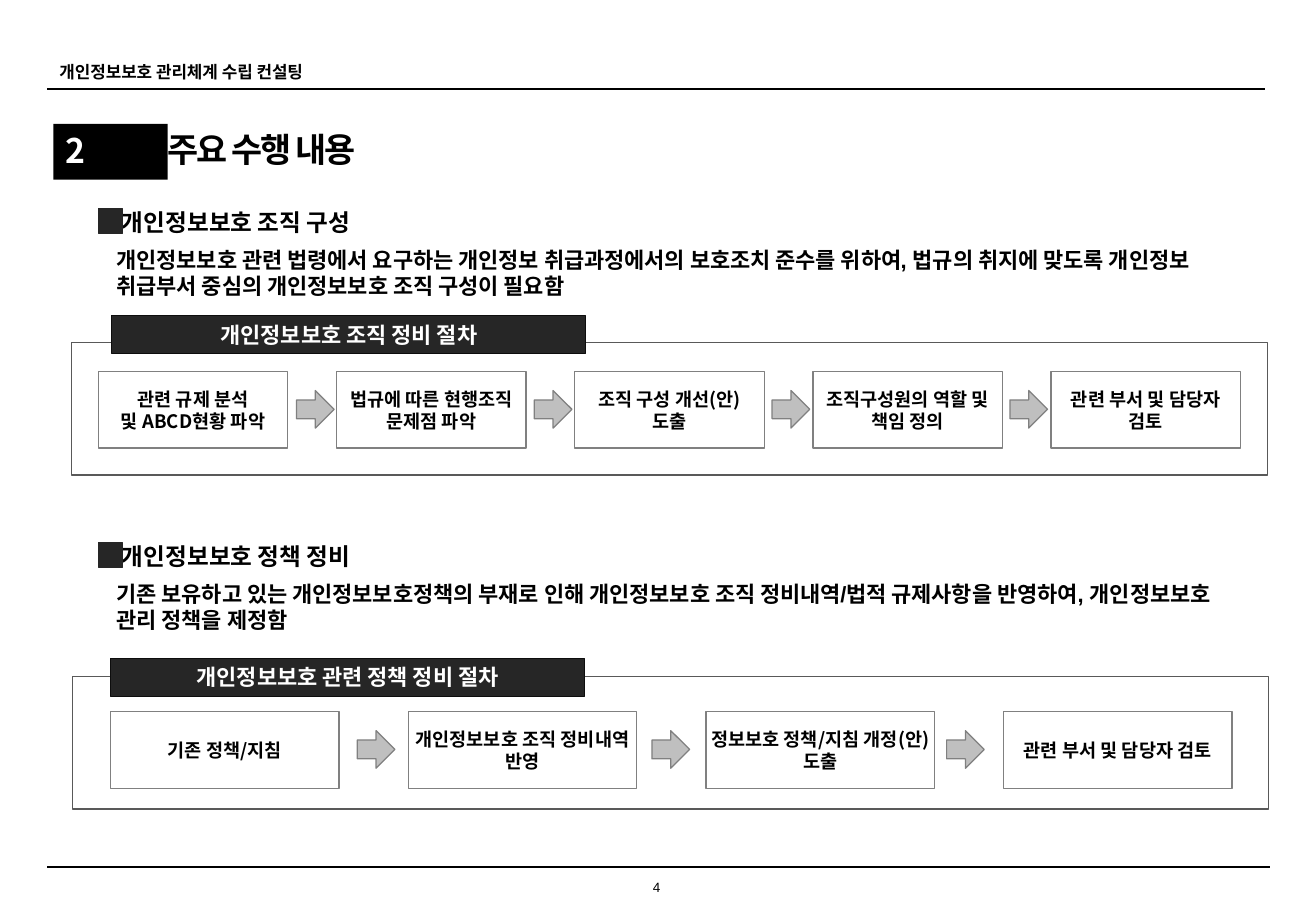
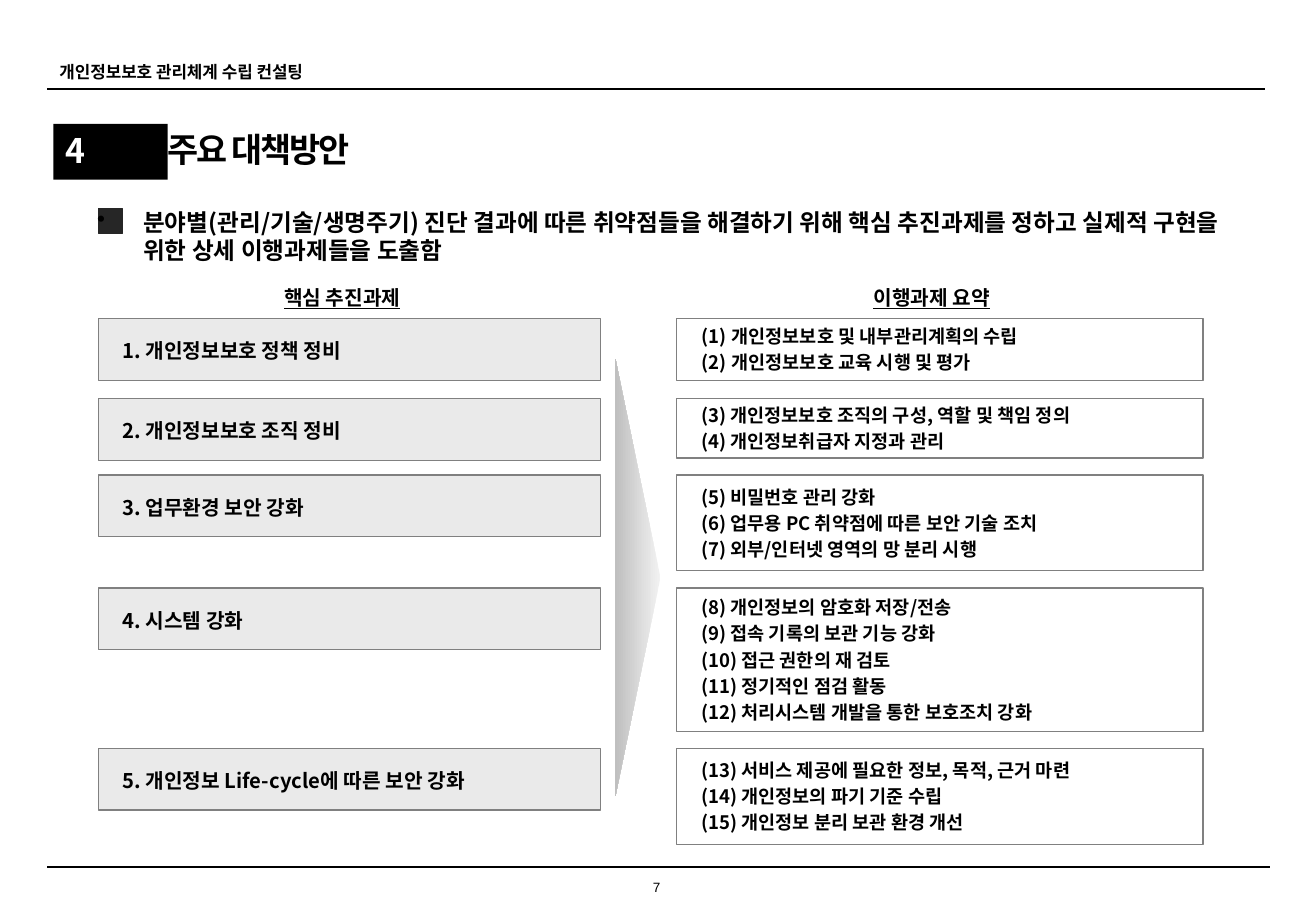
import pptx
import pptx.util
import pptx.dml.color
import pptx.enum.shapes
import pptx.enum.text
import pptx.oxml.ns
from lxml import etree

SHAPE = pptx.enum.shapes.MSO_SHAPE
ALIGN = pptx.enum.text.PP_ALIGN
ANCHOR = pptx.enum.text.MSO_ANCHOR

KOREAN = "Noto Sans CJK KR"
BLACK, WHITE, DARK = "000000", "FFFFFF", "262626"
GRAY, FRAME, PALE, ARROW = "808080", "595959", "EAEAEA", "BFBFBF"
COLUMNS, ROWS = 108.3, 75  # square grid modules of a tenth of an inch


def grid(modules):
    return pptx.util.Inches(modules / 10)


def color(code):
    return pptx.dml.color.RGBColor.from_string(code)


def add_xml(parent, tag, **attributes):
    return etree.SubElement(parent, pptx.oxml.ns.qn(tag), attributes)


class Report:
    """Holds the shared style and the current page."""

    def __init__(self):
        self.deck = pptx.Presentation()
        self.deck.slide_width, self.deck.slide_height = grid(COLUMNS), grid(ROWS)
        self.page = None

    def start_page(self, chapter, title, number):
        self.page = self.deck.slides.add_slide(self.deck.slide_layouts[6])
        # Header and footer
        self.rule(3.9, 104.1, 7.3, 1.25)
        self.text((3.9, 4.6, 24.8, 2.7), "개인정보보호 관리체계 수립 컨설팅", size=10)
        self.text((52.4, 72.3, 3.3, 1.4), number, size=8, bold=False, font="Arial",
                  align=ALIGN.CENTER, anchor=ANCHOR.MIDDLE, insets=(0, 0, 0, 0))
        self.rule(3.9, 104.5, 71.4, 1)
        # Chapter number and title
        self.shape((4.4, 10.2, 9.4, 4.6), chapter, fill=BLACK, size=20, ink=WHITE,
                   align=ALIGN.LEFT, anchor=ANCHOR.TOP)
        box = self.text((13.8, 10.4, 54.8, 3.7), title, size=20, wrap=False,
                        anchor=ANCHOR.MIDDLE, insets=(0, 0.5, 1, 0.5))
        box.text_frame.paragraphs[0].font._element.set("spc", "-120")

    def rule(self, left, right, top, weight):
        line = self.page.shapes.add_connector(
            pptx.enum.shapes.MSO_CONNECTOR.STRAIGHT,
            grid(left), grid(top), grid(right), grid(top))
        line.line.color.rgb = color(BLACK)
        line.line.width = pptx.util.Pt(weight)
        add_xml(line._element.spPr, "a:effectLst")

    def set_text(self, box, content, size=11, ink=BLACK, bold=True, font=KOREAN,
                 align=ALIGN.LEFT, anchor=ANCHOR.TOP, insets=(1, 0.5, 1, 0.5),
                 wrap=True, before=0, spacing=None, underline=False):
        frame = box.text_frame
        frame.word_wrap = wrap
        frame.vertical_anchor = anchor
        (frame.margin_left, frame.margin_top,
         frame.margin_right, frame.margin_bottom) = map(grid, insets)
        for index, words in enumerate(content.split("\n")):
            para = frame.add_paragraph() if index else frame.paragraphs[0]
            para.add_run().text = words
            para.alignment = align
            para.space_before = pptx.util.Pt(before)
            if spacing:
                para.line_spacing = spacing
            para.font.size = pptx.util.Pt(size)
            para.font.bold = bold
            para.font.underline = underline
            para.font.color.rgb = color(ink)
            para.font.name = font
            add_xml(para.font._element, "a:ea", typeface=KOREAN)

    def text(self, area, content, **style):
        box = self.page.shapes.add_textbox(*map(grid, area))
        self.set_text(box, content, **style)
        return box

    def shape(self, area, content="", kind=SHAPE.RECTANGLE, fill=None, line=None,
              weight=0.75, align=ALIGN.CENTER, anchor=ANCHOR.MIDDLE, **style):
        box = self.page.shapes.add_shape(kind, *map(grid, area))
        box.shadow.inherit = False
        if fill:
            box.fill.solid()
            box.fill.fore_color.rgb = color(fill)
        else:
            box.fill.background()
        if line:
            box.line.color.rgb = color(line)
            box.line.width = pptx.util.Pt(weight)
        else:
            box.line.fill.background()
        if content:
            self.set_text(box, content, align=align, anchor=anchor, **style)
        return box

    def bullets(self, box, hang, tag, **attributes):
        for para in box.text_frame.paragraphs:
            properties = para._p.get_or_add_pPr()
            properties.set("marL", str(grid(hang)))
            properties.set("indent", str(-grid(hang)))
            bullet = add_xml(properties, tag, **attributes)
            para.font._element.addprevious(bullet)

    def marker(self, top):
        self.shape((8.1, top, 2, 2), fill=DARK, line=DARK, weight=0.5)

    def section(self, top, heading, body):
        self.text((9.05, top, 26.5, 3.4), heading, size=14, font="Arial")
        self.marker(top + 0.6)
        self.text((8.6, top + 3.2, 94.3, 5.5), body, size=13, font="Arial")

    def flow(self, frame, banner, banner_font, steps, boxes, arrows):
        """boxes is (left, top, width, pitch); arrows is (left, pitch)."""
        left, top, width, pitch = boxes
        for index, step in enumerate(steps):
            self.shape((left + index * pitch, top, width, 6.3), step, line=GRAY,
                       insets=(0.4, 0.5, 0.4, 0.5))
        for index in range(len(steps) - 1):
            self.shape((arrows[0] + index * arrows[1], top + 1.55, 3.1, 3.1),
                       kind=SHAPE.RIGHT_ARROW, fill=ARROW, line=GRAY)
        self.shape((*frame, 98.4, 10.9), line=FRAME)
        self.shape((*banner[:2], 39, 3.1), banner[2], fill=DARK, line="0D0D0D",
                   weight=0.5, size=13, ink=WHITE, font=banner_font)

    def column_title(self, left, title):
        self.text((left, 23, 12.7, 3), title, size=12, wrap=False,
                  anchor=ANCHOR.MIDDLE, underline=True)

    def task_row(self, top, task, actions, height):
        style = dict(line=GRAY, align=ALIGN.LEFT, insets=(2, 0, 0.8, 0))
        self.shape((8.1, top, 41.3, 5.1), task, fill=PALE, size=12,
                   spacing=1.1, **style)
        return self.shape((55.7, top, 43.3, height), actions, fill=WHITE,
                          before=2.2, **style)

    def wedge(self, area):
        wedge = self.shape(area, kind=SHAPE.ISOSCELES_TRIANGLE)
        wedge.rotation = 90
        wedge.fill.gradient()
        wedge.fill.gradient_angle = 270
        for stop, shade in zip(wedge.fill.gradient_stops, ("F2F2F2", ARROW)):
            stop.color.rgb = color(shade)


def build_activities(report):
    report.start_page("2", "주요 수행 내용", "4")
    # Organisation
    report.section(
        16.6, "개인정보보호 조직 구성",
        "개인정보보호 관련 법령에서 요구하는 개인정보 취급과정에서의 보호조치 준수를 위하여, "
        "법규의 취지에 맞도록 개인정보 취급부서 중심의 개인정보보호 조직 구성이 필요함")
    report.flow(
        (5.9, 28.2), (9.2, 26, "개인정보보호 조직 정비 절차"), KOREAN,
        ["관련 규제 분석\n및 ABCD현황 파악", "법규에 따른 현행조직 문제점 파악",
         "조직 구성 개선(안)\n도출", "조직구성원의 역할 및 책임 정의",
         "관련 부서 및 담당자 검토"],
        boxes=(8.1, 30.6, 15.6, 19.6), arrows=(24.4, 19.57))
    # Policy
    report.section(
        44.1, "개인정보보호 정책 정비",
        "기존 보유하고 있는 개인정보보호정책의 부재로 인해 개인정보보호 조직 "
        "정비내역/법적 규제사항을 반영하여, 개인정보보호 관리 정책을 제정함")
    report.flow(
        (6, 55.7), (9.1, 54.2, "개인정보보호 관련 정책 정비 절차"), "Times New Roman",
        ["기존 정책/지침", "개인정보보호 조직 정비내역 반영",
         "정보보호 정책/지침 개정(안) 도출", "관련 부서 및 담당자 검토"],
        boxes=(9.1, 58.6, 18.8, 24.5), arrows=(29.4, 24.25))


def build_measures(report):
    report.start_page("4", "주요 대책방안", "7")
    # Summary
    report.marker(17.2)
    summary = report.text(
        (7, 16.6, 96.1, 6),
        "분야별(관리/기술/생명주기) 진단 결과에 따른 취약점들을 해결하기 위해 핵심 "
        "추진과제를 정하고 실제적 구현을 위한 상세 이행과제들을 도출함",
        size=14, before=2.8)
    report.bullets(summary, 3.8, "a:buChar", char="•")
    # Tasks and their actions
    report.column_title(22.4, "핵심 추진과제")
    report.column_title(70.9, "이행과제 요약")
    first = report.task_row(
        26.2, "1. 개인정보보호 정책 정비",
        "개인정보보호 및 내부관리계획의 수립\n개인정보보호 교육 시행 및 평가", 5.1)
    report.bullets(first, 2.5, "a:buAutoNum", type="arabicParenBoth")
    for row in (
        (32.8, "2. 개인정보보호 조직 정비",
         "(3) 개인정보보호 조직의 구성, 역할 및 책임 정의\n"
         "(4) 개인정보취급자 지정과 관리", 4.9),
        (39.1, "3. 업무환경 보안 강화",
         "(5) 비밀번호 관리 강화\n"
         "(6) 업무용 PC 취약점에 따른 보안 기술 조치\n"
         "(7) 외부/인터넷 영역의 망 분리 시행", 7.9),
        (48.4, "4. 시스템 강화",
         "(8) 개인정보의 암호화 저장/전송\n"
         "(9) 접속 기록의 보관 기능 강화\n"
         "(10) 접근 권한의 재 검토\n"
         "(11) 정기적인 점검 활동\n"
         "(12) 처리시스템 개발을 통한 보호조치 강화", 11.8),
        (61.6, "5. 개인정보 Life-cycle에 따른 보안 강화",
         "(13) 서비스 제공에 필요한 정보, 목적, 근거 마련\n"
         "(14) 개인정보의 파기 기준 수립\n"
         "(15) 개인정보 분리 보관 환경 개선", 7.9),
    ):
        report.task_row(*row)
    report.wedge((34.5, 45.7, 36, 3.7))


def main():
    report = Report()
    build_activities(report)
    build_measures(report)
    report.deck.save("out.pptx")


if __name__ == "__main__":
    main()
